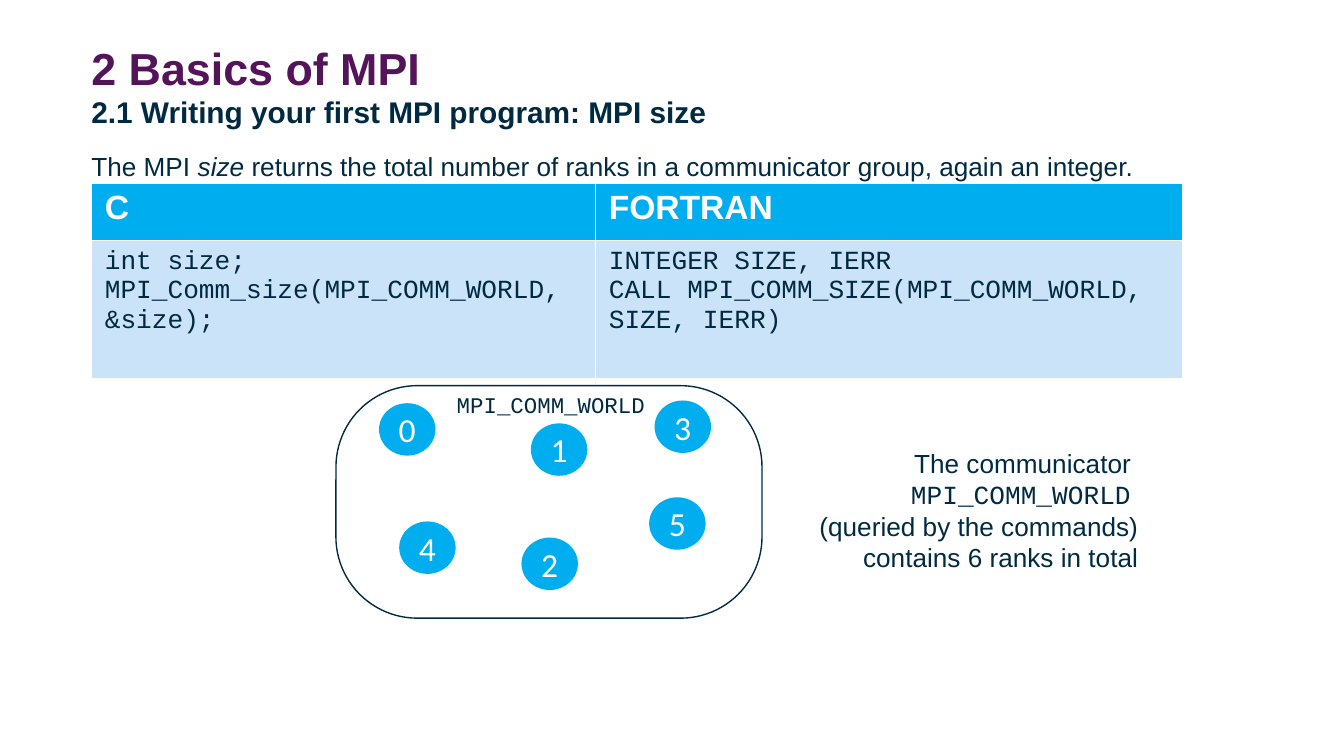
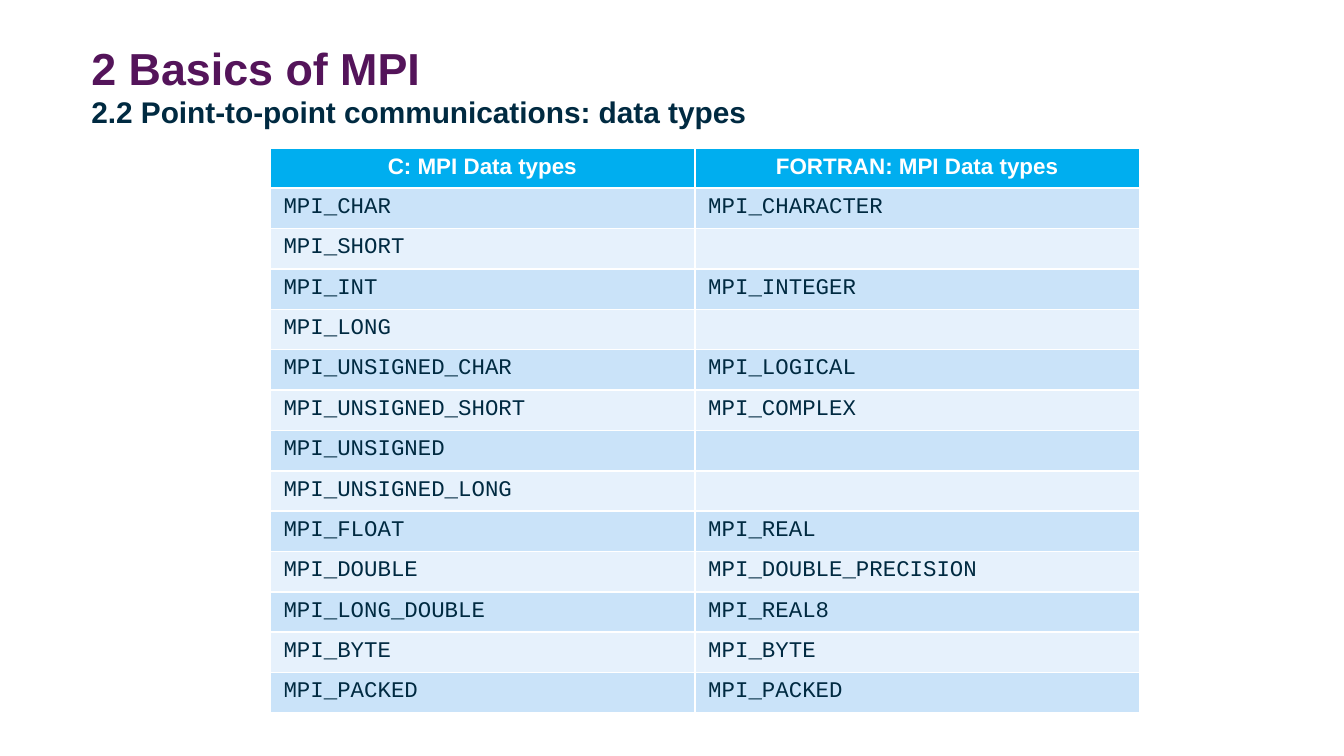
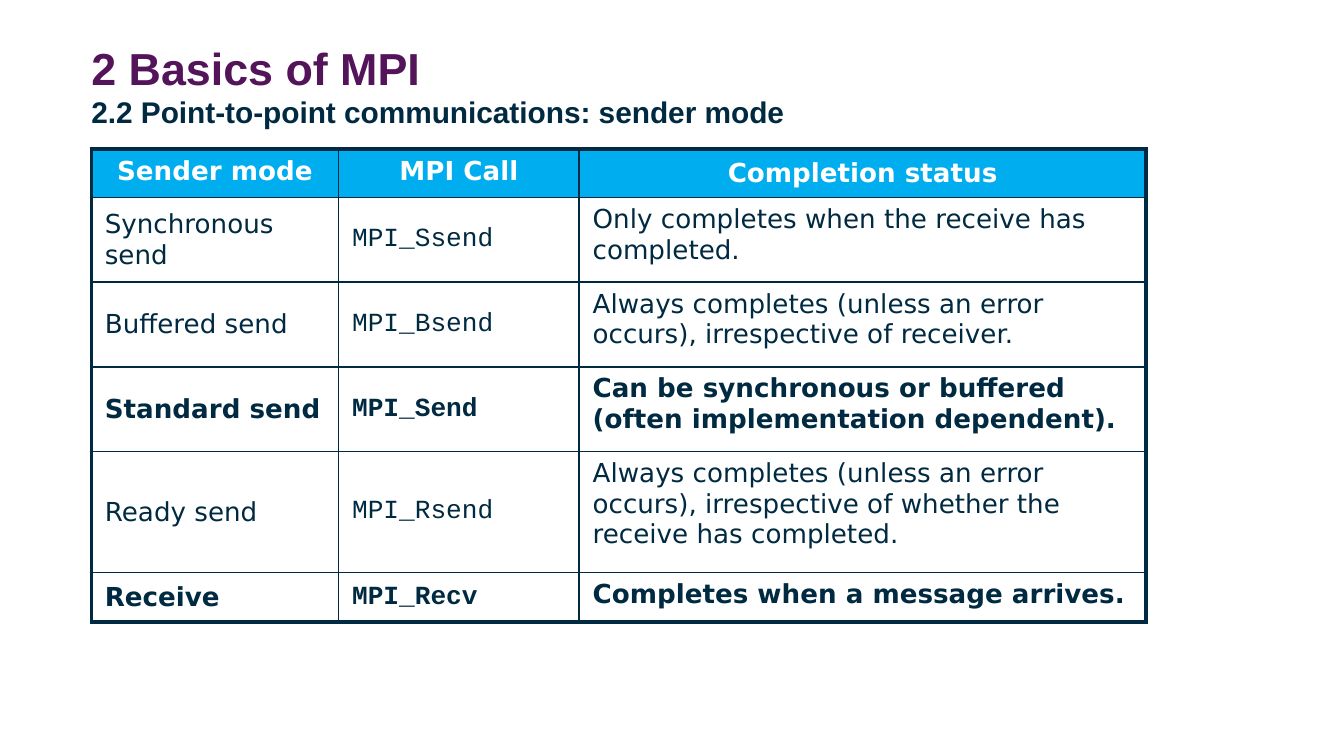
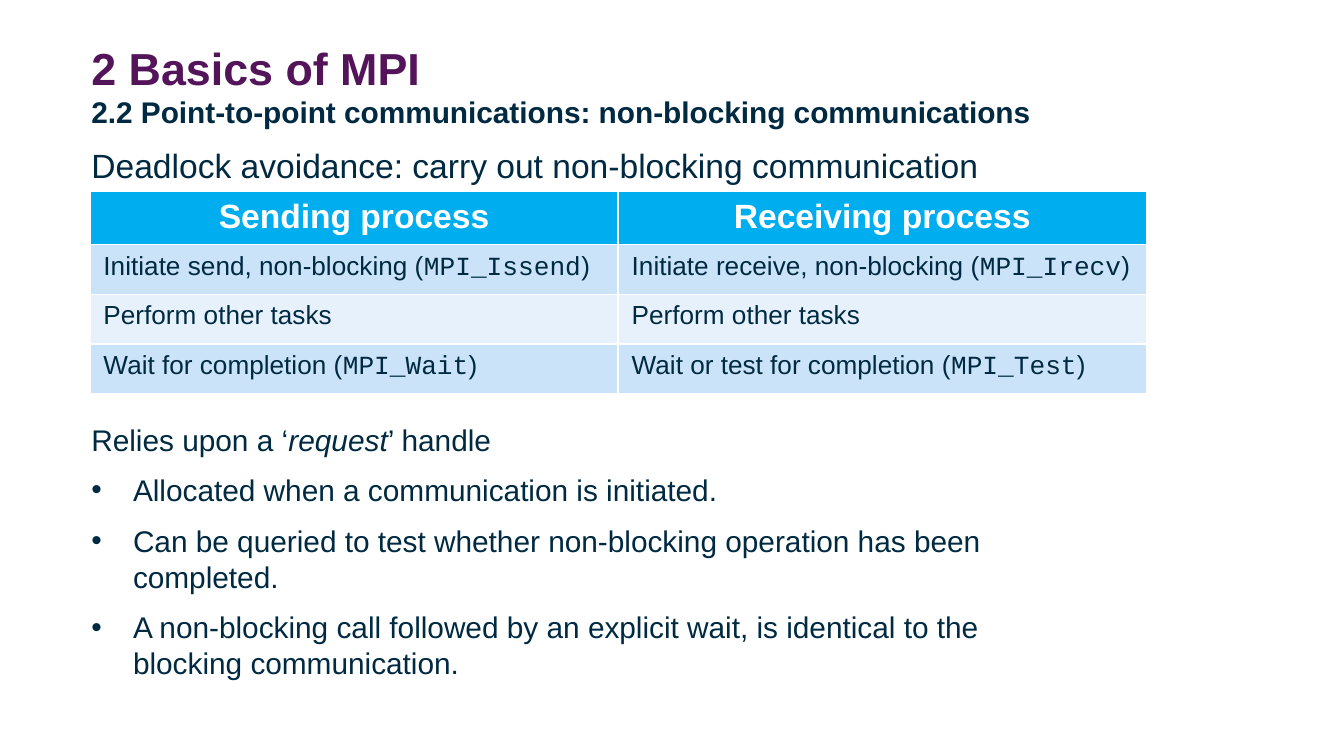
import dataclasses

import lxml.etree
import pptx
import pptx.dml.color
import pptx.enum.shapes
import pptx.enum.text
import pptx.oxml.ns
import pptx.util

Inches = pptx.util.Inches
Pt = pptx.util.Pt
qn = pptx.oxml.ns.qn
ALIGN = pptx.enum.text.PP_ALIGN
ANCHOR = pptx.enum.text.MSO_ANCHOR
SHAPE = pptx.enum.shapes.MSO_SHAPE


@dataclasses.dataclass(frozen=True)
class Theme:
    purple: str = "54145A"
    navy: str = "002A41"
    cyan: str = "00AEEF"
    band: str = "CAE3F9"
    pale_band: str = "E6F1FC"
    white: str = "FFFFFF"
    sans: str = "Arial"
    mono: str = "Courier New"
    wide: str = "DejaVu Sans"
    digits: str = "Calibri"
    title: int = 24
    large: int = 18
    subtitle: int = 16
    body: int = 14
    small: int = 12
    thin_rule: float = 0.96
    frame_rule: float = 2.21


THEME = Theme()
LEFT = 0.68
BASE = {"size": THEME.body, "name": THEME.sans, "color": THEME.navy}
MONO = {"name": THEME.mono}
ITALIC = {"italic": True}
HEADER = BASE | {"color": THEME.white, "bold": True, "align": ALIGN.CENTER}


def rgb(value):
    return pptx.dml.color.RGBColor.from_string(value)


def add_bullet(para):
    properties = para._p.get_or_add_pPr()
    properties.set("marL", str(Inches(0.31)))
    properties.set("indent", str(-Inches(0.31)))
    lxml.etree.SubElement(properties, qn("a:buFont"), typeface=THEME.sans)
    lxml.etree.SubElement(properties, qn("a:buChar"), char="•")


def add_span(para, text, style):
    """Add text to a paragraph; each newline becomes a line break of the same size."""
    for number, line in enumerate(text.split("\n")):
        if number:
            para.add_line_break()
            lxml.etree.SubElement(para._p[-1], qn("a:rPr"), sz=str(style["size"] * 100))
        if line:
            span = para.add_run()
            span.text = line
            values = {key: style.get(key) for key in ("name", "bold", "italic")}
            for key, value in (values | {"size": Pt(style["size"])}).items():
                setattr(span.font, key, value)
            span.font.color.rgb = rgb(style["color"])


def write_text(frame, paragraphs, style):
    """Fill a frame; a paragraph is a string or a list of (text, style changes)."""
    for number, content in enumerate(paragraphs):
        para = frame.add_paragraph() if number else frame.paragraphs[0]
        if style.get("bullet"):
            add_bullet(para)
        values = {"alignment": style.get("align")}
        if number and "space_before" in style:
            values["space_before"] = Pt(style["space_before"])
        for key, value in values.items():
            setattr(para, key, value)
        spans = [(content, {})] if isinstance(content, str) else content
        for text, changes in spans:
            add_span(para, text, style | changes)
        if not content:
            lxml.etree.SubElement(para._p, qn("a:endParaRPr"), sz=str(style["size"] * 100))


def add_text(shapes, place, paragraphs, style, margins=(0, 0, 0, 0)):
    frame = shapes.add_textbox(*map(Inches, place)).text_frame
    frame.word_wrap = True
    for side, margin in zip(("left", "top", "right", "bottom"), margins):
        setattr(frame, f"margin_{side}", Inches(margin))
    write_text(frame, paragraphs, style)


def add_body(page, place, paragraphs, **changes):
    add_text(page.shapes, place, paragraphs, BASE | changes)


def add_page(deck, subtitle):
    page = deck.slides.add_slide(deck.slide_layouts[6])
    heading = [("2 Basics of MPI\n", {"size": THEME.title, "color": THEME.purple}),
               (subtitle, {"size": THEME.subtitle})]
    add_text(page.shapes, (LEFT, 0.3, 8.64, 0.94), [heading], BASE | {"bold": True})
    return page


def set_borders(cell, widths, color):
    properties = cell._tc.get_or_add_tcPr()
    for side, width in zip("LRTB", widths):
        line = lxml.etree.SubElement(properties, qn(f"a:ln{side}"), w=str(Pt(width)))
        fill = lxml.etree.SubElement(line, qn("a:solidFill"))
        lxml.etree.SubElement(fill, qn("a:srgbClr"), val=color)


def add_table(page, corner, widths, heights, rows, style_of, fills, rules=None):
    """rules holds the widths of the horizontal and of the vertical lines;
    without it the white lines of the table style stay."""
    size = (sum(widths), sum(heights))
    table = page.shapes.add_table(len(rows), len(widths), *map(Inches, corner + size)).table
    for column, width in zip(table.columns, widths):
        column.width = Inches(width)
    for r, (row, height) in enumerate(zip(rows, heights)):
        table.rows[r].height = Inches(height)
        for c, content in enumerate(row):
            cell = table.cell(r, c)
            style = style_of(r, c)
            if rules:
                across, down = rules
                set_borders(cell, down[c:c + 2] + across[r:r + 2], THEME.navy)
            if fills[r]:
                cell.fill.solid()
                cell.fill.fore_color.rgb = rgb(fills[r])
            else:
                cell.fill.background()
            cell.vertical_anchor = style.get("anchor", ANCHOR.TOP)
            paragraphs = [content] if isinstance(content, str) else content
            write_text(cell.text_frame, paragraphs, style)


def add_banded_table(page, corner, widths, heights, rows, header, cells):
    bands = (THEME.pale_band, THEME.band)
    fills = [THEME.cyan] + [bands[r % 2] for r in range(1, len(rows))]
    add_table(page, corner, widths, heights, rows, lambda r, c: cells if r else header, fills)


def add_rank(shapes, rank, left, top):
    circle = shapes.add_shape(SHAPE.OVAL, *map(Inches, (left, top, 0.42, 0.39)))
    circle.shadow.inherit = False
    circle.fill.solid()
    circle.fill.fore_color.rgb = rgb(THEME.cyan)
    circle.line.fill.background()
    frame = circle.text_frame
    frame.word_wrap = False
    frame.vertical_anchor = ANCHOR.MIDDLE
    for side in ("left", "top", "right", "bottom"):
        setattr(frame, f"margin_{side}", 0)
    write_text(frame, [str(rank)], HEADER | {"size": THEME.large, "name": THEME.digits,
                                             "bold": False})


def add_communicator(page):
    shapes = page.shapes.add_group_shape().shapes
    corners = [(2.82, 3), (3.95, 3.15), (3.88, 4), (4.87, 2.98), (2.97, 3.88), (4.83, 3.7)]
    for rank, (left, top) in enumerate(corners):
        add_rank(shapes, rank, left, top)
    outline = shapes.add_shape(SHAPE.ROUNDED_RECTANGLE, *map(Inches, (2.5, 2.87, 3.17, 1.73)))
    outline.adjustments[0] = 0.35
    outline.shadow.inherit = False
    outline.fill.background()
    outline.line.color.rgb = rgb(THEME.navy)
    outline.line.width = Pt(0.75)
    add_text(shapes, (3.3, 2.86, 1.72, 0.3), ["MPI_COMM_WORLD"],
             BASE | MONO | {"size": THEME.small}, (0.1, 0.05, 0.1, 0.05))


def build_size_page(deck):
    page = add_page(deck, "2.1 Writing your first MPI program: MPI size")
    add_body(page, (LEFT, 1.12, 7.79, 0.24), [[
        ("The MPI ", {}), ("size", ITALIC),
        (" returns the total number of ranks in a communicator group, again an integer.", {})]])
    rows = [("C", "FORTRAN"),
            ("int size;\nMPI_Comm_size(MPI_COMM_WORLD, &size);",
             ["INTEGER SIZE, IERR", "CALL MPI_COMM_SIZE(MPI_COMM_WORLD, SIZE, IERR)"])]
    add_banded_table(page, (LEFT, 1.36), (3.75, 4.37), (0.43, 1.03), rows,
                     HEADER | {"size": THEME.large, "align": ALIGN.LEFT}, BASE | MONO)
    add_communicator(page)
    add_body(page, (LEFT, 3.33, 7.79, 0.94), [[
        ("The communicator \n", {}), ("MPI_COMM_WORLD", MONO),
        (" \n(queried by the commands)\ncontains 6 ranks in total", {})]], align=ALIGN.RIGHT)


def build_types_page(deck):
    page = add_page(deck, "2.2 Point-to-point communications: data types")
    rows = [("C: MPI Data types", "FORTRAN: MPI Data types"),
            ("MPI_CHAR", "MPI_CHARACTER"),
            ("MPI_SHORT", ""),
            ("MPI_INT", "MPI_INTEGER"),
            ("MPI_LONG", ""),
            ("MPI_UNSIGNED_CHAR", "MPI_LOGICAL"),
            ("MPI_UNSIGNED_SHORT", "MPI_COMPLEX"),
            ("MPI_UNSIGNED", ""),
            ("MPI_UNSIGNED_LONG", ""),
            ("MPI_FLOAT", "MPI_REAL"),
            ("MPI_DOUBLE", "MPI_DOUBLE_PRECISION"),
            ("MPI_LONG_DOUBLE", "MPI_REAL8"),
            ("MPI_BYTE", "MPI_BYTE"),
            ("MPI_PACKED", "MPI_PACKED")]
    small = {"size": THEME.small}
    add_banded_table(page, (2.01, 1.1), (3.16, 3.31), [0.24] * len(rows), rows,
                     HEADER | small, BASE | MONO | small)


def sender_style(row, column):
    if row == 0:
        anchor = ANCHOR.MIDDLE if column == 2 else ANCHOR.TOP
        return HEADER | {"name": THEME.wide, "anchor": anchor}
    return BASE | {"name": THEME.mono if column == 1 else THEME.wide,
                   "bold": row in (3, 5),
                   "anchor": ANCHOR.TOP if column == 2 else ANCHOR.MIDDLE}


def build_sender_page(deck):
    page = add_page(deck, "2.2 Point-to-point communications: sender mode")
    rows = [("Sender mode", "MPI Call", "Completion status"),
            ("Synchronous send", "MPI_Ssend", "Only completes when the receive has completed."),
            ("Buffered send", "MPI_Bsend",
             "Always completes (unless an error occurs), irrespective of receiver."),
            ("Standard send", "MPI_Send",
             "Can be synchronous or buffered (often implementation dependent)."),
            ("Ready send", "MPI_Rsend",
             "Always completes (unless an error occurs), irrespective of whether the "
             "receive has completed."),
            ("Receive", "MPI_Recv", "Completes when a message arrives.")]
    outer, inner = [THEME.frame_rule], [THEME.thin_rule]
    rules = (outer + inner * 5 + outer, outer + inner * 2 + outer)
    add_table(page, (LEFT, 1.11), (1.84, 1.79, 4.22), (0.36, 0.63, 0.63, 0.63, 0.9, 0.37),
              rows, sender_style, [THEME.cyan] + [None] * 5, rules)


def step(action, call):
    """One cell: an action followed by its MPI call in brackets."""
    return [[(f"{action} (", {}), (call, MONO), (")", {})]]


def build_non_blocking_page(deck):
    page = add_page(deck, "2.2 Point-to-point communications: non-blocking communications")
    add_body(page, (LEFT, 1.08, 7.42, 0.3),
             ["Deadlock avoidance: carry out non-blocking communication"], size=THEME.large)
    rows = [("Sending process", "Receiving process"),
            (step("Initiate send, non-blocking", "MPI_Issend"),
             step("Initiate receive, non-blocking", "MPI_Irecv")),
            ("Perform other tasks", "Perform other tasks"),
            (step("Wait for completion", "MPI_Wait"),
             step("Wait or test for completion", "MPI_Test"))]
    add_banded_table(page, (0.67, 1.42), (3.93, 3.93), (0.39, 0.37, 0.37, 0.37), rows,
                     HEADER | {"size": THEME.large}, BASE)
    add_body(page, (LEFT, 3.14, 7.42, 0.28),
             [[("Relies upon a ‘", {}), ("request", ITALIC), ("’ handle", {})]],
             size=THEME.subtitle)
    add_body(page, (LEFT, 3.51, 7.42, 1.6),
             ["Allocated when a communication is initiated.",
              "Can be queried to test whether non-blocking operation has been completed.",
              "A non-blocking call followed by an explicit wait, is identical to the "
              "blocking communication."],
             size=THEME.subtitle, space_before=8, bullet=True)


def main():
    deck = pptx.Presentation()
    deck.slide_width = Inches(10)
    deck.slide_height = deck.slide_width * 9 // 16
    build_size_page(deck)
    build_types_page(deck)
    build_sender_page(deck)
    build_non_blocking_page(deck)
    deck.save("out.pptx")


if __name__ == "__main__":
    main()
